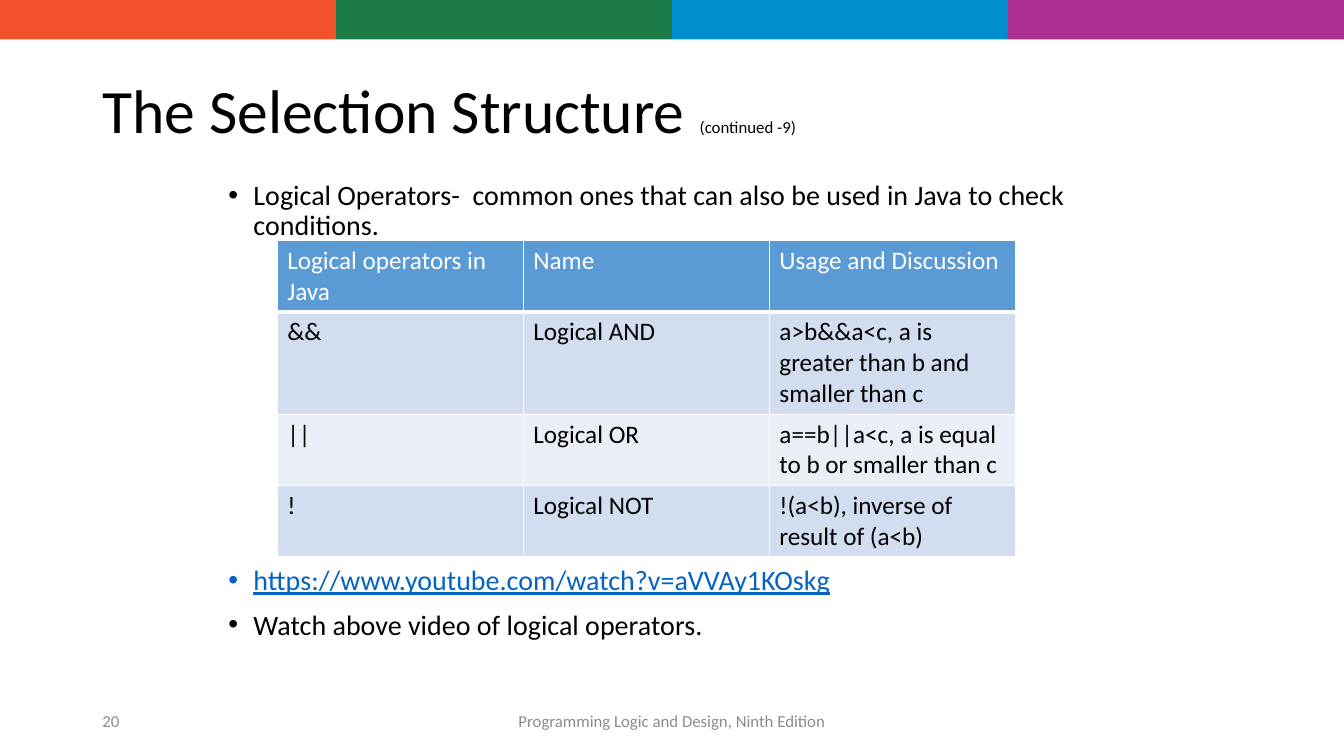
"""Build the slide on logical operators with its table and colour band."""
from dataclasses import dataclass

from lxml import etree
from pptx import Presentation
from pptx import util as u
from pptx.dml.color import RGBColor
from pptx.enum import shapes, text
from pptx.oxml import ns

UNIT = u.Emu(762000)
COLS, ROWS = 16, 9
FONT = "Calibri"
HUES = {
    "orange": "F0532C", "green": "1E7B47", "blue": "008FCD", "purple": "AB2E91",
    "black": "000000", "white": "FFFFFF", "grey": "8C8C8C", "link": "0563C1",
    "head": "5B9BD5", "dark": "D2DEEF", "light": "EAEFF7",
}
BAND = ("orange", "green", "blue", "purple")
BAND_DEPTH = 0.47
TABLE = [
    ("Logical operators in Java", "Name", "Usage and Discussion"),
    ("&&", "Logical AND", "a>b&&a<c, a is greater than b and smaller than c"),
    ("||", "Logical OR", "a==b||a<c, a is equal to b or smaller than c"),
    ("!", "Logical NOT", "!(a<b), inverse of result of (a<b)"),
]
FILLS = ("head", "dark", "light", "dark")
DEPTHS = (0.85, 1.22, 0.85, 0.85)


@dataclass(frozen=True)
class Area:
    left: float
    top: float
    width: float
    height: float

    def spans(self) -> list[u.Emu]:
        return [span(n) for n in (self.left, self.top, self.width, self.height)]


@dataclass(frozen=True)
class Line:
    runs: tuple[tuple[str, float], ...]
    hue: str = "black"
    lead: float = 1.0
    before: float = 0
    bullet: bool = False
    under: bool = False
    align: text.PP_ALIGN = text.PP_ALIGN.LEFT


@dataclass(frozen=True)
class Box:
    area: Area
    lines: tuple[Line, ...]
    anchor: text.MSO_ANCHOR = text.MSO_ANCHOR.MIDDLE


BOXES = (
    Box(Area(1.1, 0.48, 13.8, 1.74), (
        Line((("The Selection Structure ", 44), ("(continued -9)", 12)), lead=0.9),)),
    Box(Area(1.1, 8.34, 3.6, 0.48), (Line((("20", 12),), "grey"),)),
    Box(Area(5.3, 8.34, 5.4, 0.48), (
        Line((("Programming Logic and Design, Ninth Edition", 12),), "grey",
             align=text.PP_ALIGN.CENTER),)),
    Box(Area(2.6, 2.1, 10.8, 5.6), (
        Line((("Logical Operators-  common ones that can also be used in Java "
               "to check conditions.", 20),), lead=0.9, bullet=True),
        Line((("https://www.youtube.com/watch?v=aVVAy1KOskg", 20),), "link",
             lead=0.9, before=232, bullet=True, under=True),
        Line((("Watch above video of logical operators.", 20),),
             lead=0.9, before=10, bullet=True),
    ), text.MSO_ANCHOR.TOP),
)
GRID = Area(3.3, 2.86, 8.79, sum(DEPTHS))


def span(units: float) -> u.Emu:
    return u.Emu(round(units * UNIT))


def tint(hue: str) -> RGBColor:
    return RGBColor.from_string(HUES[hue])


def style(para, hue: str, size: float | None = None) -> None:
    para.font.name = FONT
    para.font.color.rgb = tint(hue)
    if size:
        para.font.size = u.Pt(size)


def draw_band(slide) -> None:
    width = COLS / len(BAND)
    for i, hue in enumerate(BAND):
        area = Area(i * width, 0, width, BAND_DEPTH)
        block = slide.shapes.add_shape(shapes.MSO_SHAPE.RECTANGLE, *area.spans())
        block.shadow.inherit = False
        block.fill.solid()
        block.fill.fore_color.rgb = tint(hue)
        block.line.fill.background()


def draw_line(para, line: Line) -> None:
    para.alignment = line.align
    para.line_spacing = line.lead
    para.space_before = u.Pt(line.before)
    if line.bullet:
        props = para._p.get_or_add_pPr()
        props.set("marL", str(u.Inches(0.25)))
        props.set("indent", str(-u.Inches(0.25)))
        etree.SubElement(props, ns.qn("a:buFont"), typeface="Arial")
        etree.SubElement(props, ns.qn("a:buChar"), char="•")
    sizes = {size for _, size in line.runs}
    style(para, line.hue, sizes.pop() if len(sizes) == 1 else None)
    if line.under:
        para.font.underline = True
    for words, size in line.runs:
        run = para.add_run()
        run.text = words
        if sizes:
            run.font.size = u.Pt(size)


def draw_box(slide, box: Box) -> None:
    frame = slide.shapes.add_textbox(*box.area.spans()).text_frame
    frame.word_wrap = True
    frame.vertical_anchor = box.anchor
    for i, line in enumerate(box.lines):
        draw_line(frame.add_paragraph() if i else frame.paragraphs[0], line)


def edge(cell, base: float) -> None:
    props = cell._tc.get_or_add_tcPr()
    for side, width in (("L", 1), ("R", 1), ("T", 1), ("B", base)):
        rule = etree.SubElement(props, ns.qn(f"a:ln{side}"), w=str(u.Pt(width)))
        fill = etree.SubElement(rule, ns.qn("a:solidFill"))
        etree.SubElement(fill, ns.qn("a:srgbClr"), val=HUES["white"])


def draw_table(slide) -> None:
    table = slide.shapes.add_table(len(TABLE), len(TABLE[0]), *GRID.spans()).table
    table.first_row = table.horz_banding = False
    for r, (words, hue, depth) in enumerate(zip(TABLE, FILLS, DEPTHS)):
        table.rows[r].height = span(depth)
        for c, word in enumerate(words):
            cell = table.cell(r, c)
            edge(cell, 1 if r else 3)
            cell.fill.solid()
            cell.fill.fore_color.rgb = tint(hue)
            cell.text = word
            style(cell.text_frame.paragraphs[0], "black" if r else "white", 18)


def main() -> None:
    deck = Presentation()
    deck.slide_width, deck.slide_height = span(COLS), span(ROWS)
    slide = deck.slides.add_slide(deck.slide_layouts[6])
    draw_band(slide)
    for box in BOXES:
        draw_box(slide, box)
    draw_table(slide)
    deck.save("out.pptx")


if __name__ == "__main__":
    main()
